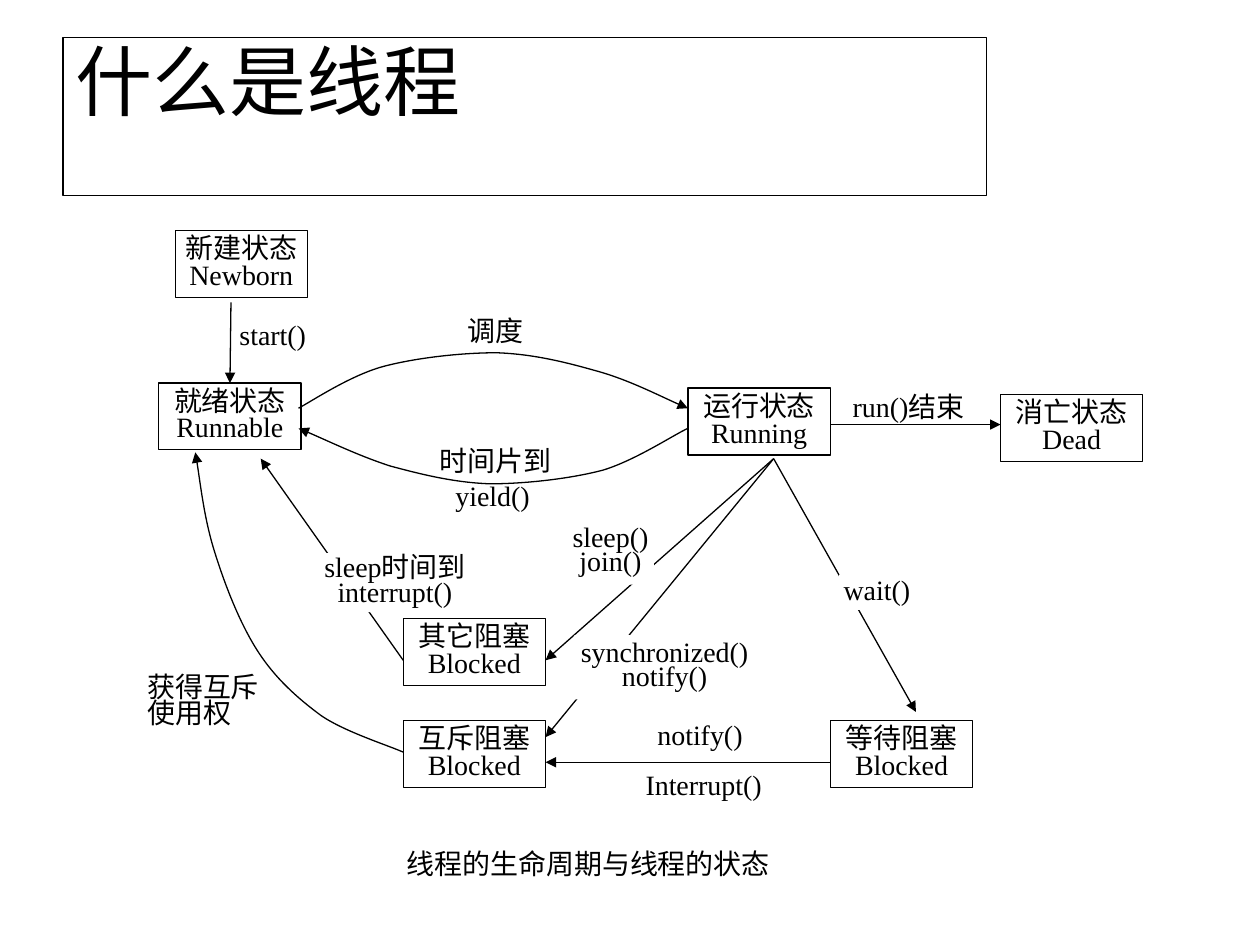
from lxml.etree import SubElement
from pptx import Presentation
from pptx.dml.color import RGBColor
from pptx.enum.shapes import MSO_CONNECTOR, MSO_SHAPE
from pptx.enum.text import MSO_ANCHOR, PP_ALIGN
from pptx.oxml.ns import qn
from pptx.util import Pt

COLORS = {"ink": "000000", "paper": "FFFFFF"}
BODY_FONT = "Times New Roman"
BOX_WIDTH, BOX_HEIGHT = 81.4, 38.2
LABEL_HEIGHT = 20.2

STATES = {
    "newborn": (100.1, 131.8, 75.6, ["新建状态", "Newborn"]),
    "runnable": (90.7, 218.9, BOX_WIDTH, ["就绪状态", "Runnable"]),
    "running": (393.1, 221.8, BOX_WIDTH, ["运行状态", "Running"]),
    "dead": (571.7, 225.4, BOX_WIDTH, ["消亡状态", "Dead"]),
    "other": (230.4, 353.5, BOX_WIDTH, ["其它阻塞", "Blocked"]),
    "mutex": (230.4, 411.8, BOX_WIDTH, ["互斥阻塞", "Blocked"]),
    "waiting": (474.5, 411.8, BOX_WIDTH, ["等待阻塞", "Blocked"]),
}

LABELS_BEHIND_LINES = [
    (133.9, 182.9, 43.9, "start()"),
    (481, 223.9, 76.3, "run()结束"),
    (261.4, 180.7, 43.9, "调度"),
    (242.6, 254.9, 81.4, "时间片到"),
    (259.9, 275, 43.2, "yield()"),
    (360.7, 439.9, 82.8, "Interrupt()"),
    (358.6, 411.1, 82.8, "notify()"),
]

LABELS_OVER_LINES = [
    (165.6, 316.1, 120.2, 33.8, ["sleep时间到", "interrupt()"], 0.72),
    (324, 297.4, 49.7, 36.7, ["sleep()", "join()"], 0.72),
    (328.3, 362.9, 103, 36.7, ["synchronized()", "notify()"], 0.72),
    (479.5, 328.3, 43.2, LABEL_HEIGHT, ["wait()"], 0.8),
]

RUNNING_EXIT = (442.1, 262.1)
ARROWS = [
    ((230.4, 377.3), (149, 262.1)),
    (RUNNING_EXIT, (311.8, 377.3)),
    (RUNNING_EXIT, (311.8, 421.2)),
    (RUNNING_EXIT, (523.4, 406.8)),
    ((474.5, 435.6), (311.8, 435.6)),
    ((474.5, 242.6), (571.7, 242.6)),
]

CURVES = [
    [(170.6, 233.3), (178.6, 229), (200.2, 214.6), (218.9, 209.5),
     (237.6, 204.5), (263.5, 201.6), (283.7, 201.6),
     (303.8, 202.3), (321.8, 206.6), (339.8, 211.7),
     (358.6, 216.7), (382.3, 229), (393.1, 233.3)],
    [(393.1, 244.8), (385.2, 248.4), (363.6, 262.8), (344.9, 268.6),
     (326.2, 273.6), (300.2, 276.5), (280.1, 276.5),
     (259.9, 275.8), (241.9, 271.4), (223.2, 266.4),
     (205.2, 260.6), (181.4, 249.1), (170.6, 244.8)],
    [(230.4, 429.8), (222.5, 426.2), (197.3, 418.3), (183.6, 409),
     (169.9, 398.9), (157, 387.4), (146.9, 371.5),
     (136.8, 355.7), (128.2, 333.4), (122.4, 314.6),
     (116.6, 295.9), (113.8, 270), (111.6, 258.5)],
]


def color(name):
    """Return the named colour."""
    return RGBColor.from_string(COLORS[name])


def add_block(slide, left, top, width, height, lines, spacing=0.8,
              outlined=False, align=PP_ALIGN.CENTER, size=16,
              font_name=BODY_FONT, anchor=MSO_ANCHOR.MIDDLE, insets=(0, 0)):
    """Add a white rectangle with one paragraph for each line of text."""
    shape = slide.shapes.add_shape(
        MSO_SHAPE.RECTANGLE, Pt(left), Pt(top), Pt(width), Pt(height))
    shape.shadow.inherit = False
    shape.fill.solid()
    shape.fill.fore_color.rgb = color("paper")
    if outlined:
        style_line(shape)
    else:
        shape.line.fill.background()
    frame = shape.text_frame
    frame.word_wrap = True
    frame.vertical_anchor = anchor
    frame.margin_left = frame.margin_right = Pt(insets[0])
    frame.margin_top = frame.margin_bottom = Pt(insets[1])
    for index, line in enumerate(lines):
        paragraph = frame.add_paragraph() if index else frame.paragraphs[0]
        paragraph.text = line
        paragraph.alignment = align
        paragraph.line_spacing = spacing
        paragraph.font.name = font_name
        paragraph.font.size = Pt(size)
        paragraph.font.color.rgb = color("ink")
    return shape


def style_line(shape, arrow=False):
    """Give a shape or connector a thin line, with an arrowhead if asked."""
    shape.line.color.rgb = color("ink")
    shape.line.width = Pt(0.75)
    if arrow:
        properties = shape._element.spPr
        SubElement(properties.find(qn("a:ln")), qn("a:tailEnd"), type="triangle")
        if properties.find(qn("a:effectLst")) is None:
            SubElement(properties, qn("a:effectLst"))


def add_arrow(slide, start, end):
    """Add a straight arrow between two points."""
    connector = slide.shapes.add_connector(
        MSO_CONNECTOR.STRAIGHT, *(Pt(value) for value in (*start, *end)))
    style_line(connector, arrow=True)
    return connector


def add_curve(slide, points):
    """Add an arrow along cubic curves given by their control points."""
    vertices = [(Pt(x), Pt(y)) for x, y in points]
    builder = slide.shapes.build_freeform(*vertices[0])
    builder.add_line_segments(vertices[1:], close=False)
    shape = builder.convert_to_shape()
    outline = next(shape._element.iter(qn("a:path")))
    segments = outline.findall(qn("a:lnTo"))
    for index in range(0, len(segments), 3):
        curve = SubElement(outline, qn("a:cubicBezTo"))
        for segment in segments[index:index + 3]:
            curve.append(segment[0])
            outline.remove(segment)
    shape.shadow.inherit = False
    shape.fill.background()
    style_line(shape, arrow=True)


def main():
    """Build the thread life cycle slide."""
    presentation = Presentation()
    presentation.slide_width, presentation.slide_height = Pt(720), Pt(540)
    slide = presentation.slides.add_slide(presentation.slide_layouts[6])

    add_block(slide, 36, 21.6, 527.8, 90, ["什么是线程"], spacing=0.9,
              outlined=True, align=PP_ALIGN.LEFT, size=44, font_name="Calibri",
              anchor=MSO_ANCHOR.TOP, insets=(7.2, 3.6))
    states = {
        name: add_block(slide, left, top, width, BOX_HEIGHT, lines, outlined=True)
        for name, (left, top, width, lines) in STATES.items()
    }
    for left, top, width, text in LABELS_BEHIND_LINES:
        add_block(slide, left, top, width, LABEL_HEIGHT, [text])
    add_block(slide, 84.2, 382.3, 64.8, BOX_HEIGHT, ["获得互斥", "使用权"],
              align=PP_ALIGN.JUSTIFY)
    add_block(slide, 165.6, 478.8, 341.3, 28.8,
              ["线程的生命周期与线程的状态"], spacing=1.0)

    start_arrow = add_arrow(slide, (132, 172.8), (132, 218.9))
    start_arrow.end_connect(states["runnable"], 0)
    for start, end in ARROWS:
        add_arrow(slide, start, end)
    for points in CURVES:
        add_curve(slide, points)
    for left, top, width, height, lines, spacing in LABELS_OVER_LINES:
        add_block(slide, left, top, width, height, lines, spacing)

    presentation.save("out.pptx")


if __name__ == "__main__":
    main()
